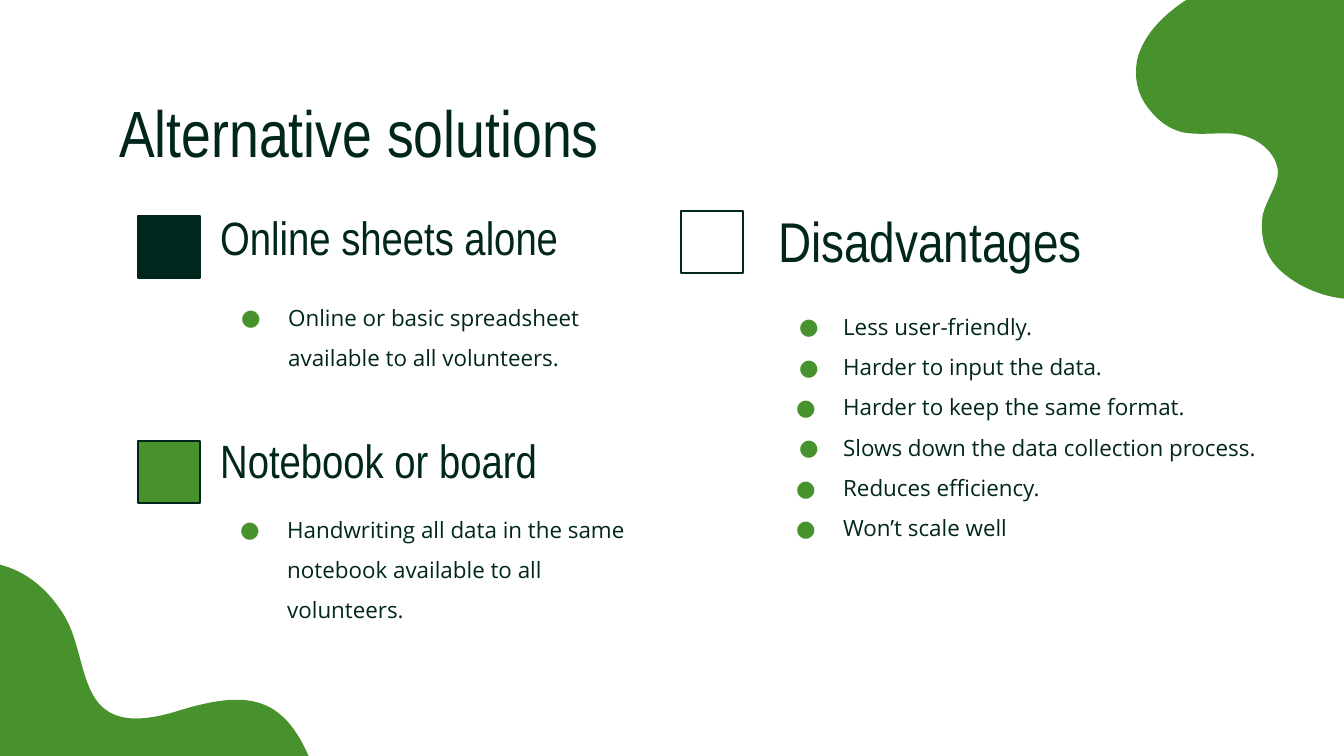
from dataclasses import dataclass

from lxml import etree
from pptx import Presentation
from pptx.dml.color import RGBColor
from pptx.enum import shapes, text
from pptx.oxml import ns
from pptx.util import Emu, Pt

PX = 914400 / 134.4  # EMU in one px


@dataclass(frozen=True)
class Theme:
    dark: str = "00261E"
    green: str = "47922C"
    white: str = "FFFFFF"
    heading_font: str = "Arial Narrow"
    body_font: str = "Open Sans"
    title_size: int = 35
    large_size: int = 30
    heading_size: int = 25
    body_size: int = 12
    marker: int = 62
    indent: int = 67


THEME = Theme()


def px(length):
    return Emu(round(length * PX))


def rgb(colour):
    return RGBColor.from_string(colour)


def add_run(paragraph, words, font, size):
    run = paragraph.add_run()
    run.text = words
    run.font.name = font
    run.font.size = Pt(size)
    run.font.color.rgb = rgb(THEME.dark)


def add_frame(slide, box, anchor=text.MSO_ANCHOR.TOP):
    frame = slide.shapes.add_textbox(*map(px, box)).text_frame
    frame.word_wrap = True
    frame.vertical_anchor = anchor
    # The same inset on all sides
    frame.margin_top = frame.margin_bottom = frame.margin_left
    return frame


def set_bullet(paragraph, hang):
    props = paragraph._p.get_or_add_pPr()
    props.set("marL", str(px(THEME.indent)))
    props.set("indent", str(px(-hang)))
    colour = etree.SubElement(props, ns.qn("a:buClr"))
    etree.SubElement(colour, ns.qn("a:srgbClr"), val=THEME.green)
    etree.SubElement(props, ns.qn("a:buFont"), typeface=THEME.body_font)
    etree.SubElement(props, ns.qn("a:buChar"), char="●")


def add_blob(slide, corner, start, curves, outer_corner):
    """Closed outline: cubic curves (control, control, end), then a corner."""
    left, top = corner
    points = [start, *(point for curve in curves for point in curve),
              outer_corner]
    outline = [(px(left + x), px(top + y)) for x, y in points]
    builder = slide.shapes.build_freeform(*outline[0])
    builder.add_line_segments(outline[1:], close=True)
    blob = builder.convert_to_shape()
    blob.shadow.inherit = False
    blob.fill.solid()
    blob.fill.fore_color.rgb = rgb(THEME.green)
    blob.line.fill.background()

    # Join every three line points into one cubic curve
    lines = list(blob._element.iter(ns.qn("a:lnTo")))
    for first in range(0, 3 * len(curves), 3):
        cubic = etree.Element(ns.qn("a:cubicBezTo"))
        lines[first].addprevious(cubic)
        for line in lines[first:first + 3]:
            cubic.append(line[0])
            line.getparent().remove(line)


def add_title(slide, box, words):
    add_run(add_frame(slide, box).paragraphs[0], words,
            THEME.heading_font, THEME.title_size)


def add_section(slide, box, colour, heading, bullets, marker_y,
                heading_box, list_at, size=THEME.heading_size):
    """Marker, heading and bullet list; bullets are (words, hang) pairs."""
    left, top, width, height = box

    # Bullet list fills the lower right of the box
    x, y = list_at
    frame = add_frame(slide, (left + x, top + y, width - x, height - y))
    for number, (words, hang) in enumerate(bullets):
        paragraph = frame.add_paragraph() if number else frame.paragraphs[0]
        paragraph.line_spacing = 1.5
        set_bullet(paragraph, hang)
        add_run(paragraph, words, THEME.body_font, THEME.body_size)

    # Heading
    x, y, w, h = heading_box
    frame = add_frame(slide, (left + x, top + y, w, h), text.MSO_ANCHOR.BOTTOM)
    add_run(frame.paragraphs[0], heading, THEME.heading_font, size)

    # Square marker
    marker = slide.shapes.add_shape(
        shapes.MSO_SHAPE.RECTANGLE, px(left), px(top + marker_y),
        px(THEME.marker), px(THEME.marker))
    marker.shadow.inherit = False
    marker.fill.solid()
    marker.fill.fore_color.rgb = rgb(colour)
    marker.line.color.rgb = rgb(THEME.dark)
    marker.line.width = Pt(0.75)


def main():
    deck = Presentation()
    deck.slide_width, deck.slide_height = px(1344), px(756)
    slide = deck.slides.add_slide(deck.slide_layouts[6])
    slide.background.fill.solid()
    slide.background.fill.fore_color.rgb = rgb(THEME.white)

    # Corner blobs
    add_blob(slide, (1136, -12), (286, 286), [
        ((271, 297), (254, 306), (232, 310)),
        ((196, 316), (157, 298), (139, 277)),
        ((130, 266), (126, 253), (126, 240)),
        ((126, 235), (126, 230), (127, 226)),
        ((131, 211), (142, 197), (142, 184)),
        ((141, 167), (125, 150), (100, 146)),
        ((83, 144), (63, 148), (45, 144)),
        ((35, 141), (27, 136), (20, 129)),
        ((6, 115), (0, 101), (0, 85)),
        ((0, 77), (1, 70), (4, 63)),
        ((13, 40), (35, 20), (62, 5)),
    ], (286, 0))
    add_blob(slide, (-54, 556), (370, 219), [
        ((343, 142), (308, 132), (235, 154)),
        ((123, 190), (148, 103), (116, 56)),
        ((84, 7), (39, 0), (0, 8)),
    ], (0, 219))

    add_title(slide, (106, 79, 1133, 85), "Alternative solutions")

    # Alternatives on the left, their drawbacks on the right
    add_section(
        slide, (138, 207, 515, 167), THEME.dark, "Online sheets alone",
        [("Online or basic spreadsheet available to all volunteers.", 47)],
        marker_y=9, heading_box=(69, 0, 426, 71), list_at=(70, 70))
    add_section(
        slide, (138, 430, 515, 201), THEME.green, "Notebook or board",
        [("Handwriting all data in the same notebook available to all "
          "volunteers.", 47)],
        marker_y=11, heading_box=(69, 0, 426, 71), list_at=(69, 59))
    add_section(
        slide, (681, 211, 620, 380), THEME.white, "Disadvantages",
        [("Less user-friendly.", 44),
         ("Harder to input the data.", 44),
         ("Harder to keep the same format.", 47),
         ("Slows down the data collection process.", 44),
         ("Reduces efficiency.", 47),
         ("Won’t scale well", 47)],
        marker_y=0, heading_box=(84, 5, 371, 71), list_at=(82, 75),
        size=THEME.large_size)

    deck.save("out.pptx")


if __name__ == "__main__":
    main()
